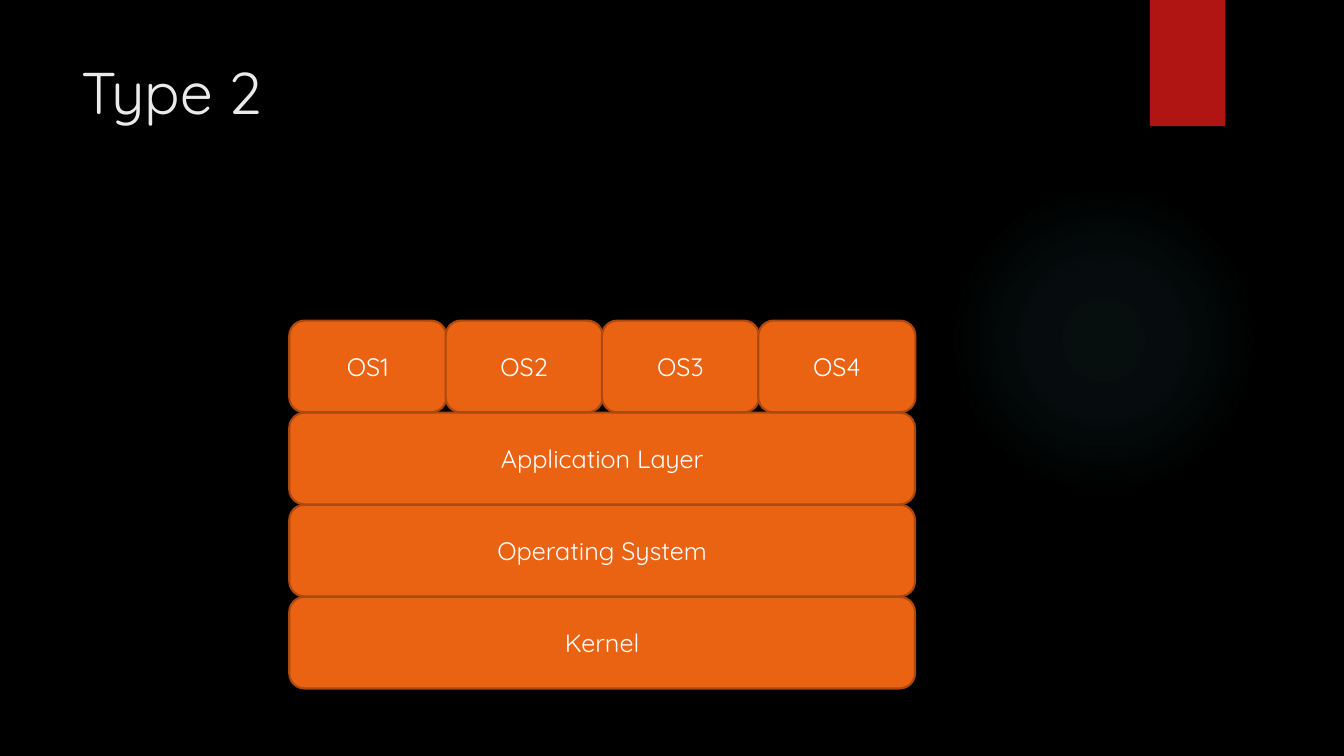
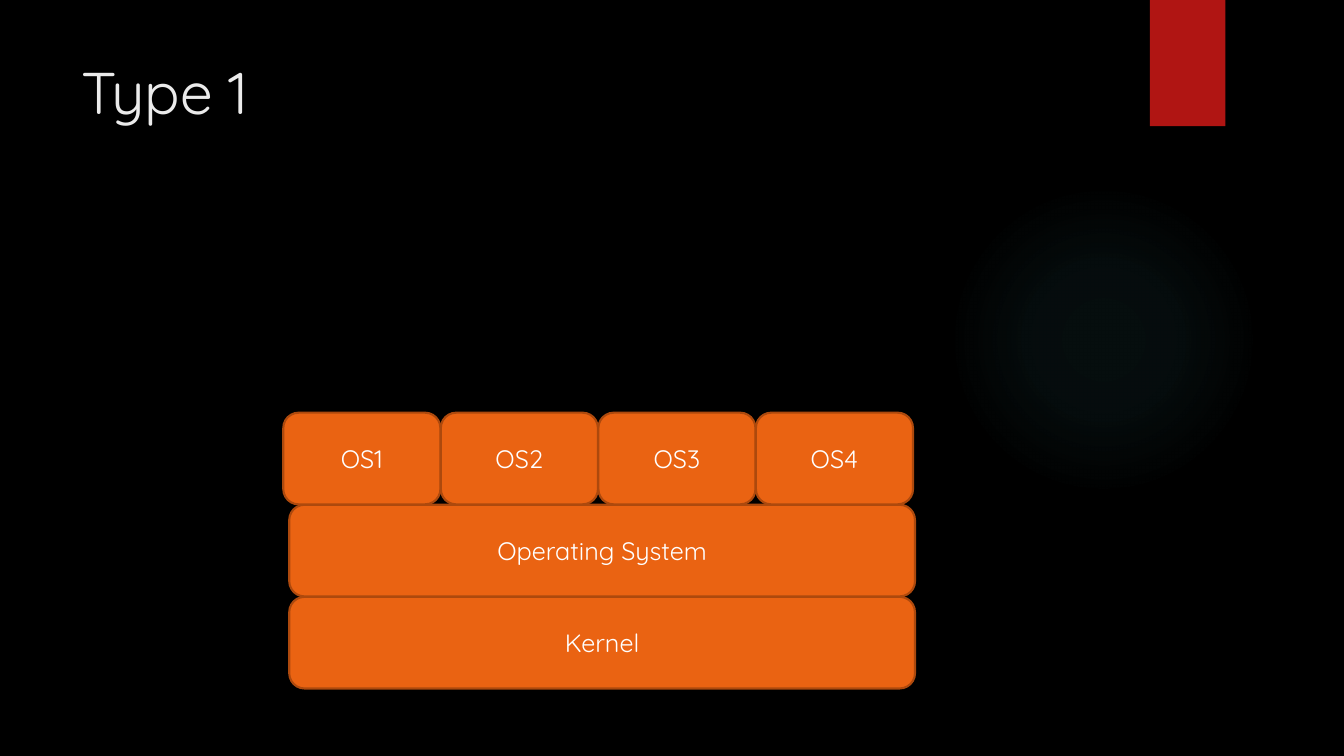
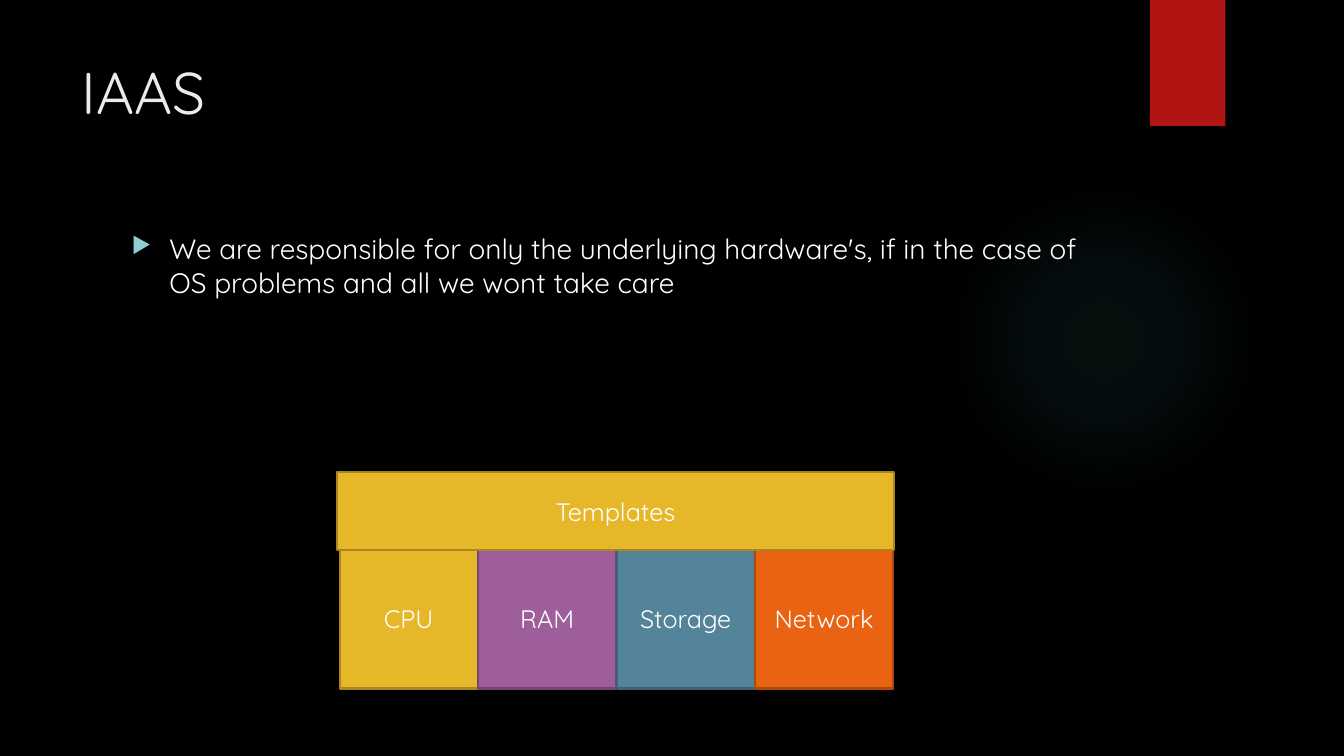
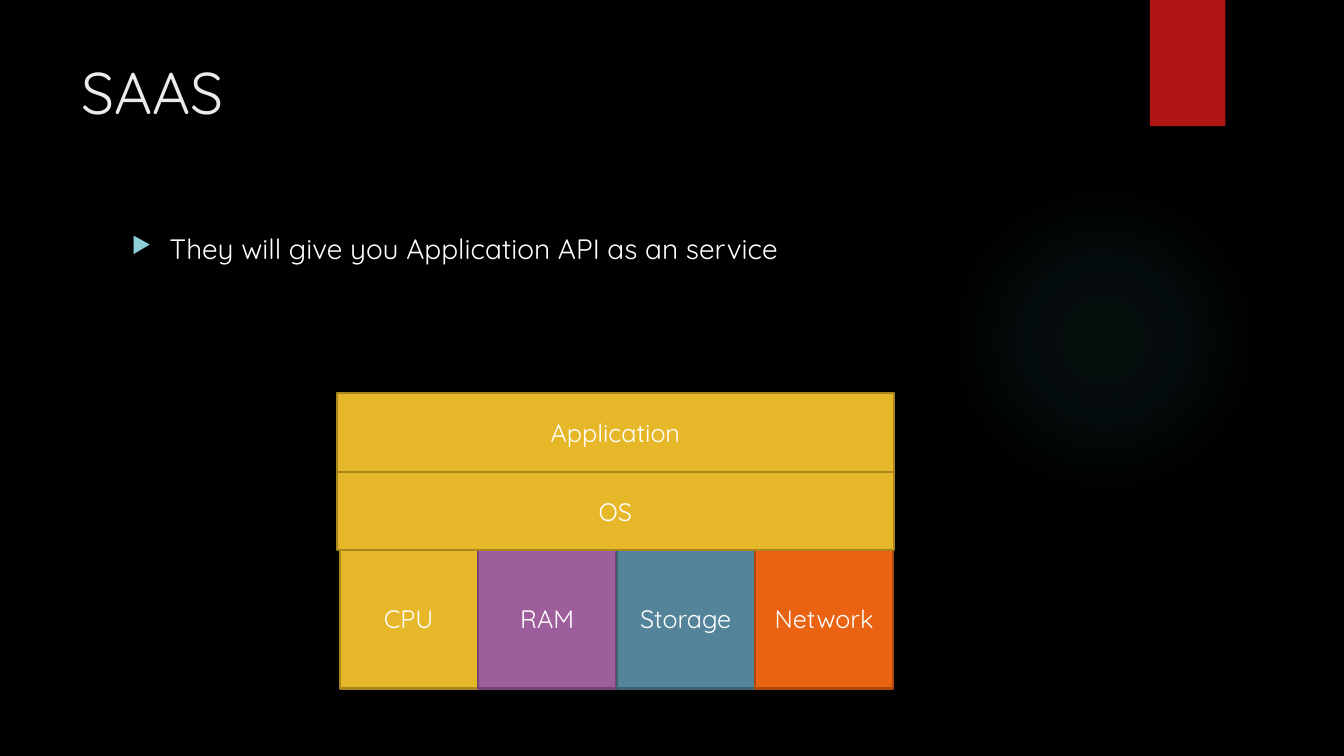
from pptx import Presentation
from pptx.dml.color import RGBColor
from pptx.enum.shapes import MSO_SHAPE as Preset
from pptx.enum.text import MSO_ANCHOR as Anchor, PP_ALIGN as Align
from pptx.oxml import parse_xml
from pptx.oxml.ns import nsdecls
from pptx.util import Cm, Pt

FONT = "Quicksand"
BLACK, WHITE, TITLE_GREY = "000000", "FFFFFF", "EBEBEB"
RIBBON_RED, GLOW_TEAL, BULLET_TEAL = "B01513", "50B9C1", "8AD0D6"

# Fill and outline of a block
ORANGE = ("EA6312", "AD490D")
YELLOW = ("E6B729", "AA871E")
PURPLE = ("9E5E9B", "754673")
BLUE = ("54849A", "3E6272")

# Hypervisor stack, built upwards from the kernel (cm)
LAYER_LEFT, LAYER_WIDTH, LAYER_HEIGHT = 7.29, 15.77, 2.31
KERNEL_TOP, LAYER_STEP = 15.04, 2.32
GUESTS = ["OS1", "OS2", "OS3", "OS4"]
GUEST_WIDTH = 3.96

# Cloud service stack, built upwards from the resources (cm)
RESOURCES = [("CPU", YELLOW), ("RAM", PURPLE), ("Storage", BLUE), ("Network", ORANGE)]
RESOURCE_LEFT, RESOURCE_STEP, RESOURCE_TOP = 8.56, 3.49, 13.84
RESOURCE_WIDTH, RESOURCE_HEIGHT = 3.48, 3.51
SERVICE_LEFT, SERVICE_WIDTH, SERVICE_HEIGHT = 8.5, 14.02, 1.98
SERVICE_TOP = 11.89


def rgb(code):
    return RGBColor.from_string(code)


def add_text(paragraph, text, size, color):
    run = paragraph.add_run()
    run.text = text
    run.font.name = FONT
    run.font.size = Pt(size)
    run.font.color.rgb = rgb(color)


def add_plain_shape(slide, preset, left, top, width, height):
    """Add a shape without outline or shadow."""
    shape = slide.shapes.add_shape(preset, Cm(left), Cm(top), Cm(width), Cm(height))
    shape.shadow.inherit = False
    shape.line.fill.background()
    return shape


def add_glow(slide):
    glow = add_plain_shape(slide, Preset.OVAL, 23.9, 4.65, 7.82, 7.82)
    glow.fill.background()
    stops = "".join(
        f'<a:gs pos="{position * 1000}"><a:srgbClr val="{GLOW_TEAL}">'
        f'<a:alpha val="{alpha * 1000}"/></a:srgbClr></a:gs>'
        for position, alpha in [(0, 7), (36, 6), (69, 0)]
    )
    gradient = parse_xml(
        f'<a:gradFill {nsdecls("a")}><a:gsLst>{stops}</a:gsLst><a:path path="circle">'
        '<a:fillToRect l="50000" t="50000" r="50000" b="50000"/></a:path></a:gradFill>'
    )
    properties = glow.element.spPr
    properties.replace(properties.find("{*}noFill"), gradient)


def add_ribbon(slide):
    ribbon = add_plain_shape(slide, Preset.RECTANGLE, 28.98, 0, 1.9, 3.18)
    ribbon.fill.solid()
    ribbon.fill.fore_color.rgb = rgb(RIBBON_RED)
    ribbon.element.spPr.find("{*}effectLst").append(parse_xml(
        f'<a:outerShdw {nsdecls("a")} blurRad="{Pt(3)}" dist="{Pt(2)}" dir="5400000">'
        f'<a:srgbClr val="{BLACK}"><a:alpha val="45000"/></a:srgbClr></a:outerShdw>'
    ))


def add_text_box(slide, left, top, width, height, text, size, color):
    frame = slide.shapes.add_textbox(Cm(left), Cm(top), Cm(width), Cm(height)).text_frame
    frame.word_wrap = True
    add_text(frame.paragraphs[0], text, size, color)
    return frame.paragraphs[0]


def add_bullet(slide, text):
    paragraph = add_text_box(slide, 3.07, 5.72, 24.84, 11.66, text, 20, WHITE)
    properties = paragraph._p.get_or_add_pPr()
    properties.set("marL", str(Cm(0.95)))
    properties.set("indent", str(Cm(-0.95)))
    for markup in (
        f'<a:buClr {nsdecls("a")}><a:srgbClr val="{BULLET_TEAL}"/></a:buClr>',
        f'<a:buSzPct {nsdecls("a")} val="80000"/>',
        f'<a:buChar {nsdecls("a")} char="▶"/>',
    ):
        properties.append(parse_xml(markup))


def add_block(slide, preset, left, top, width, height, label, colors):
    fill, outline = colors
    block = add_plain_shape(slide, preset, left, top, width, height)
    block.fill.solid()
    block.fill.fore_color.rgb = rgb(fill)
    block.line.color.rgb = rgb(outline)
    block.line.width = Pt(1.5)
    frame = block.text_frame
    frame.word_wrap = True
    frame.vertical_anchor = Anchor.MIDDLE
    frame.paragraphs[0].alignment = Align.CENTER
    add_text(frame.paragraphs[0], label, 18, WHITE)


def add_slide(prs, title):
    slide = prs.slides.add_slide(prs.slide_layouts[6])
    add_glow(slide)
    add_ribbon(slide)
    add_text_box(slide, 1.8, 1.27, 26.14, 3.89, title, 42, TITLE_GREY)
    return slide


def add_hypervisor_slide(prs, title, layers, guest_left, guest_step):
    """Stack the layers from the bottom up, with the guest systems on top."""
    slide = add_slide(prs, title)
    for level, label in enumerate(layers):
        add_block(slide, Preset.ROUNDED_RECTANGLE, LAYER_LEFT, KERNEL_TOP - level * LAYER_STEP,
                  LAYER_WIDTH, LAYER_HEIGHT, label, ORANGE)
    guest_top = KERNEL_TOP - len(layers) * LAYER_STEP
    for column, label in enumerate(GUESTS):
        add_block(slide, Preset.ROUNDED_RECTANGLE, guest_left + column * guest_step, guest_top,
                  GUEST_WIDTH, LAYER_HEIGHT, label, ORANGE)


def add_service_slide(prs, title, statement, services):
    """Show the resources in a row, with the services stacked upwards on them."""
    slide = add_slide(prs, title)
    add_bullet(slide, statement)
    for column, (label, colors) in enumerate(RESOURCES):
        add_block(slide, Preset.FLOWCHART_PROCESS, RESOURCE_LEFT + column * RESOURCE_STEP,
                  RESOURCE_TOP, RESOURCE_WIDTH, RESOURCE_HEIGHT, label, colors)
    for level, label in enumerate(services):
        add_block(slide, Preset.FLOWCHART_PROCESS, SERVICE_LEFT,
                  SERVICE_TOP - level * SERVICE_HEIGHT, SERVICE_WIDTH, SERVICE_HEIGHT,
                  label, YELLOW)


def main():
    prs = Presentation()
    prs.slide_width, prs.slide_height = Cm(33.87), Cm(19.05)
    backdrop = prs.slide_master.background.fill
    backdrop.solid()
    backdrop.fore_color.rgb = rgb(BLACK)

    add_hypervisor_slide(prs, "Type 2", ["Kernel", "Operating System", "Application Layer"],
                         guest_left=LAYER_LEFT, guest_step=3.94)
    add_hypervisor_slide(prs, "Type 1", ["Kernel", "Operating System"],
                         guest_left=7.14, guest_step=3.97)
    add_service_slide(prs, "IAAS",
                      "We are responsible for only the underlying hardware's, if in the case of "
                      "OS problems and all we wont take care", ["Templates"])
    add_service_slide(prs, "SAAS", "They will give you Application API as an service",
                      ["OS", "Application"])
    prs.save("out.pptx")


if __name__ == "__main__":
    main()
